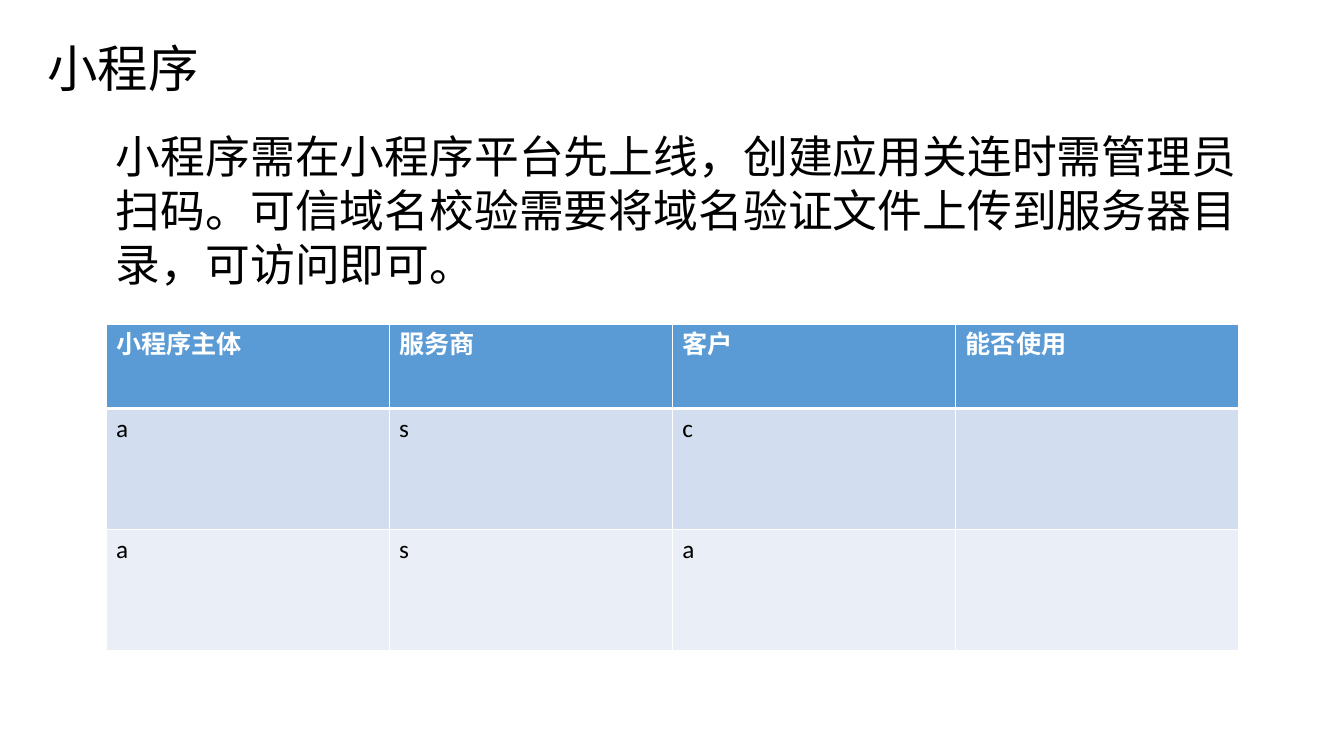
from lxml.etree import SubElement
from pptx import Presentation
from pptx.dml.color import RGBColor
from pptx.enum.text import MSO_ANCHOR as Anchor, MSO_AUTO_SIZE as AutoSize, PP_ALIGN as Align
from pptx.oxml.ns import qn
from pptx.util import Cm, Pt

COLORS = {"text": "000000", "white": "FFFFFF", "header": "5B9BD5",
          "odd_row": "D2DEEF", "even_row": "EAEFF7"}
CJK_FONT = "Noto Sans CJK JP"
LATIN_FONT = "Calibri"
ROWS = [
    ["小程序主体", "服务商", "客户", "能否使用"],
    ["a", "s", "c", ""],
    ["a", "s", "a", ""],
]
ROW_HEIGHTS = [2.11, 3.05, 3.05]


def write_text(frame, text, size, font=LATIN_FONT, color="text", bold=False, line_spacing=None):
    """Write one left-aligned paragraph in the given format."""
    paragraph = frame.paragraphs[0]
    paragraph.alignment = Align.LEFT
    paragraph.line_spacing = line_spacing
    run = paragraph.add_run()
    run.text = text
    run.font.size = Pt(size)
    run.font.bold = bold
    run.font.name = font
    run.font.color.rgb = RGBColor.from_string(COLORS[color])
    SubElement(run.font._element, qn("a:ea"), typeface=font)


def add_border(cell, side, width):
    """Draw a white border on one side of a table cell."""
    border = SubElement(cell._tc.get_or_add_tcPr(), qn(f"a:ln{side}"), w=str(Pt(width)))
    fill = SubElement(border, qn("a:solidFill"))
    SubElement(fill, qn("a:srgbClr"), val=COLORS["white"])


def place_title(slide, left, top, width, height):
    """Place the slide title in its placeholder."""
    title = slide.shapes.title
    title.left, title.top, title.width, title.height = left, top, width, height
    title.text_frame.vertical_anchor = Anchor.MIDDLE
    title.text_frame.auto_size = AutoSize.NONE
    write_text(title.text_frame, "小程序", 36, font=CJK_FONT, line_spacing=0.9)


def place_explanation(slide, left, top, width, height):
    """Place the paragraph on going online and domain checks."""
    explanation = slide.shapes.add_textbox(left, top, width, height).text_frame
    explanation.word_wrap = True
    explanation.auto_size = AutoSize.SHAPE_TO_FIT_TEXT
    write_text(explanation, "小程序需在小程序平台先上线，创建应用关连时需管理员扫码。"
               "可信域名校验需要将域名验证文件上传到服务器目录，可访问即可。", 32)


def place_usage_table(slide, left, top, width, height):
    """Place the table of owners, providers and customers."""
    usage = slide.shapes.add_table(len(ROWS), len(ROWS[0]), left, top, width, height).table
    for column in usage.columns:
        column.width = width // len(ROWS[0])
    for row_index, (labels, row_height) in enumerate(zip(ROWS, ROW_HEIGHTS)):
        is_header = row_index == 0
        usage.rows[row_index].height = Cm(row_height)
        band = "header" if is_header else ("even_row", "odd_row")[row_index % 2]
        for column_index, label in enumerate(labels):
            cell = usage.cell(row_index, column_index)
            for side in "LRTB":
                below_header = (is_header and side == "B") or (row_index == 1 and side == "T")
                add_border(cell, side, 3 if below_header else 1)
            cell.fill.solid()
            cell.fill.fore_color.rgb = RGBColor.from_string(COLORS[band])
            if label:
                write_text(cell.text_frame, label, 18, bold=is_header,
                           color="white" if is_header else "text")


def main():
    """Build the mini-program slide and save it."""
    deck = Presentation()
    deck.slide_width, deck.slide_height = Cm(33.87), Cm(19.05)
    slide = deck.slides.add_slide(deck.slide_layouts[5])
    place_title(slide, Cm(0.94), Cm(0.48), Cm(23.22), Cm(2.64))
    place_usage_table(slide, Cm(2.67), Cm(8.18), Cm(28.55), Cm(sum(ROW_HEIGHTS)))
    place_explanation(slide, Cm(2.67), Cm(3.12), Cm(28.8), Cm(4.37))
    deck.save("out.pptx")


if __name__ == "__main__":
    main()
